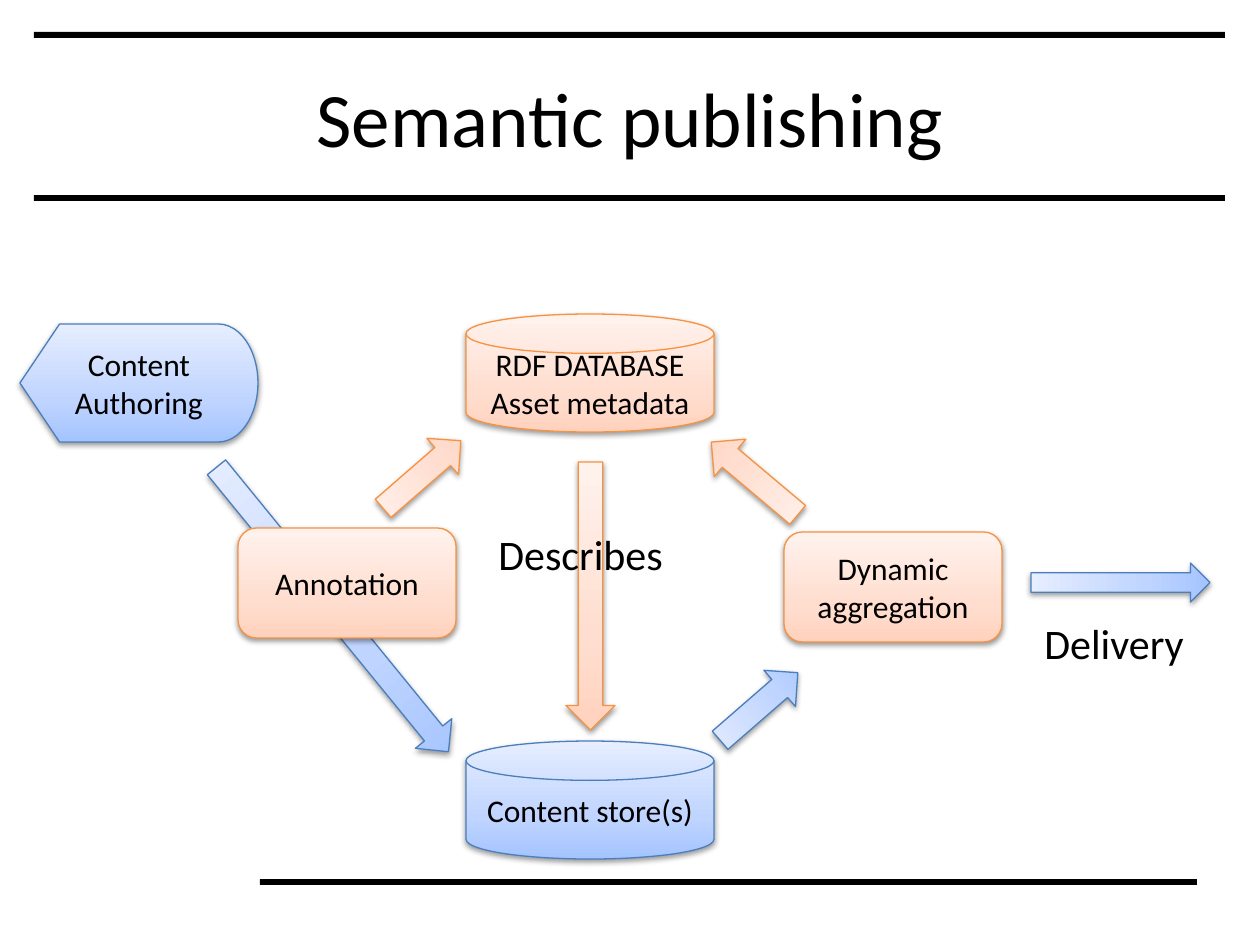
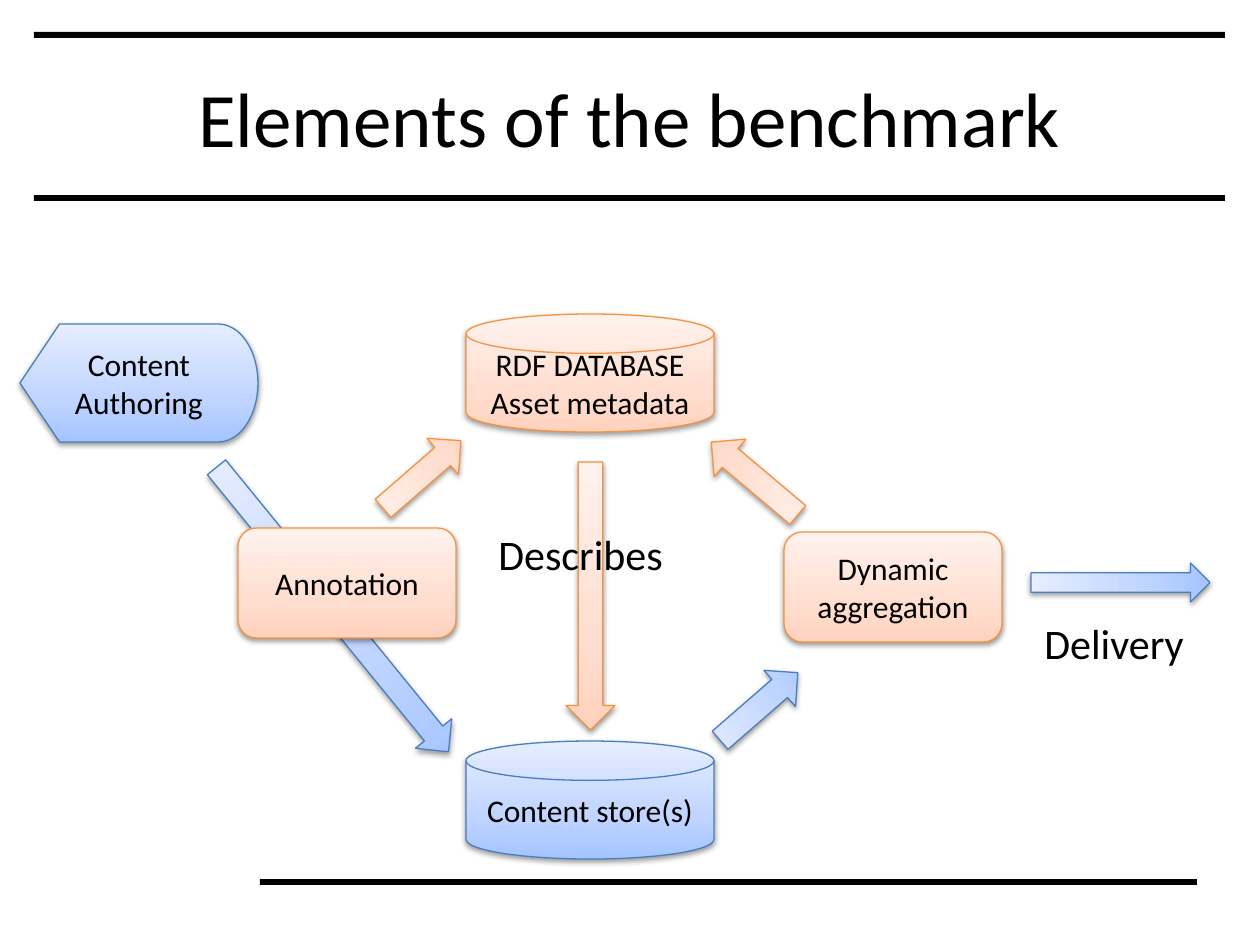
from dataclasses import dataclass
from typing import Any

from pptx import Presentation
from pptx.dml.color import RGBColor as Rgb
from pptx.enum.shapes import MSO_SHAPE as Geo
from pptx.enum.text import MSO_ANCHOR as Anchor, MSO_AUTO_SIZE as Auto, PP_ALIGN as Align
from pptx.oxml import parse_xml
from pptx.oxml.ns import nsdecls
from pptx.util import Emu, Pt

SCALE = 914400 / 126
COLORS = {"ink": "000000", "blue": "4B7EBC", "orange": "F69240"}
FADES = {
    "blue": {0: "A4C4FF", 35: "BFD4FF", 100: "E6EEFF"},
    "orange": {0: "FFD2BD", 35: "FFDED0", 100: "FFF2ED"},
}
SHADOW = (
    f'<a:effectLst {nsdecls("a")}><a:outerShdw blurRad="40000" dist="20000" '
    'dir="5400000" rotWithShape="0"><a:srgbClr val="000000">'
    '<a:alpha val="38000"/></a:srgbClr></a:outerShdw></a:effectLst>'
)
FRAME = {"word_wrap": True, "vertical_anchor": Anchor.MIDDLE}
LABEL = {"word_wrap": False, "auto_size": Auto.SHAPE_TO_FIT_TEXT}

Box = tuple[int, int, int, int]


@dataclass
class Node:
    box: Box
    geo: Geo
    tone: str
    text: str = ""
    turn: float = 0


@dataclass
class Note:
    box: Box
    text: str


RULES = [(260, 879, 937, 6), (34, 32, 1191, 6), (34, 195, 1191, 6)]
TITLES = ["Semantic publishing", "Elements of the benchmark"]
ARROW, DISK, CARD = Geo.DOWN_ARROW, Geo.FLOWCHART_MAGNETIC_DISK, Geo.FLOWCHART_ALTERNATE_PROCESS
PARTS = [
    Node((309, 426, 47, 367), ARROW, "blue", turn=320.8),
    Node((466, 741, 248, 118), DISK, "blue", "Content store(s)"),
    Node((20, 324, 238, 118), Geo.FLOWCHART_DISPLAY, "blue", "Content Authoring"),
    Node((566, 462, 49, 268), ARROW, "orange"),
    Node((466, 314, 248, 118), DISK, "orange", "RDF DATABASE\nAsset metadata"),
    Node((784, 532, 218, 110), CARD, "orange", "Dynamic aggregation"),
    Node((1101, 493, 39, 179), ARROW, "blue", turn=270),
    Node((735, 655, 48, 103), ARROW, "blue", turn=229),
    Node((238, 528, 218, 110), CARD, "orange", "Annotation"),
    Note((486, 522, 203, 63), "Describes"),
    Note((1032, 611, 168, 63), "Delivery"),
    Node((398, 423, 48, 103), ARROW, "orange", turn=229),
    Node((730, 422, 49, 113), ARROW, "orange", turn=130.1),
]


def place(box: Box) -> list[Emu]:
    return [Emu(round(n * SCALE)) for n in box]


def apply(item: Any, vals: dict[str, Any]) -> None:
    for name, val in vals.items():
        setattr(item, name, val)


def write(frame: Any, text: str, size: int, align: Align, form: dict[str, Any]) -> None:
    frame.text = text
    apply(frame, form)
    for para in frame.paragraphs:
        para.alignment = align
        for run in para.runs:
            apply(run.font, {"name": "Calibri", "size": Pt(size)})
            run.font.color.rgb = Rgb.from_string(COLORS["ink"])


def fade(tone: str) -> Any:
    stops = "".join(
        f'<a:gs pos="{pos * 1000}"><a:srgbClr val="{hue}"/></a:gs>'
        for pos, hue in FADES[tone].items()
    )
    return parse_xml(
        f'<a:gradFill {nsdecls("a")} rotWithShape="1"><a:gsLst>{stops}</a:gsLst>'
        '<a:lin ang="16200000" scaled="0"/></a:gradFill>'
    )


def draw_node(slide: Any, node: Node) -> None:
    shape = slide.shapes.add_shape(node.geo, *place(node.box))
    shape.rotation = node.turn
    shape.line.color.rgb = Rgb.from_string(COLORS[node.tone])
    shape.line.width = Pt(0.75)
    props = shape.element.spPr
    props.insert(2, fade(node.tone))
    props.append(parse_xml(SHADOW))
    if node.text:
        write(shape.text_frame, node.text, 18, Align.CENTER, FRAME)


def draw_note(slide: Any, note: Note) -> None:
    frame = slide.shapes.add_textbox(*place(note.box)).text_frame
    write(frame, note.text, 24, Align.LEFT, LABEL)


def add_rules(slide: Any) -> None:
    tree = slide.slide_layout.shapes.element
    for box in RULES:
        rule = slide.shapes.add_shape(Geo.RECTANGLE, *place(box))
        rule.shadow.inherit = False
        rule.fill.solid()
        rule.fill.fore_color.rgb = Rgb.from_string(COLORS["ink"])
        rule.line.fill.background()
        tree.append(rule.element)


def draw_slide(slide: Any, text: str) -> None:
    title = slide.shapes.title
    apply(title, dict(zip(("left", "top", "width", "height"), place((63, 38, 1134, 158)))))
    write(title.text_frame, text, 44, Align.CENTER, FRAME)
    for part in PARTS:
        if isinstance(part, Node):
            draw_node(slide, part)
        else:
            draw_note(slide, part)


deck = Presentation()
apply(deck, {"slide_width": Emu(9144000), "slide_height": Emu(6858000)})
slides = [deck.slides.add_slide(deck.slide_layouts[5]) for _ in TITLES]
add_rules(slides[0])
for slide, text in zip(slides, TITLES):
    draw_slide(slide, text)
deck.save("out.pptx")
